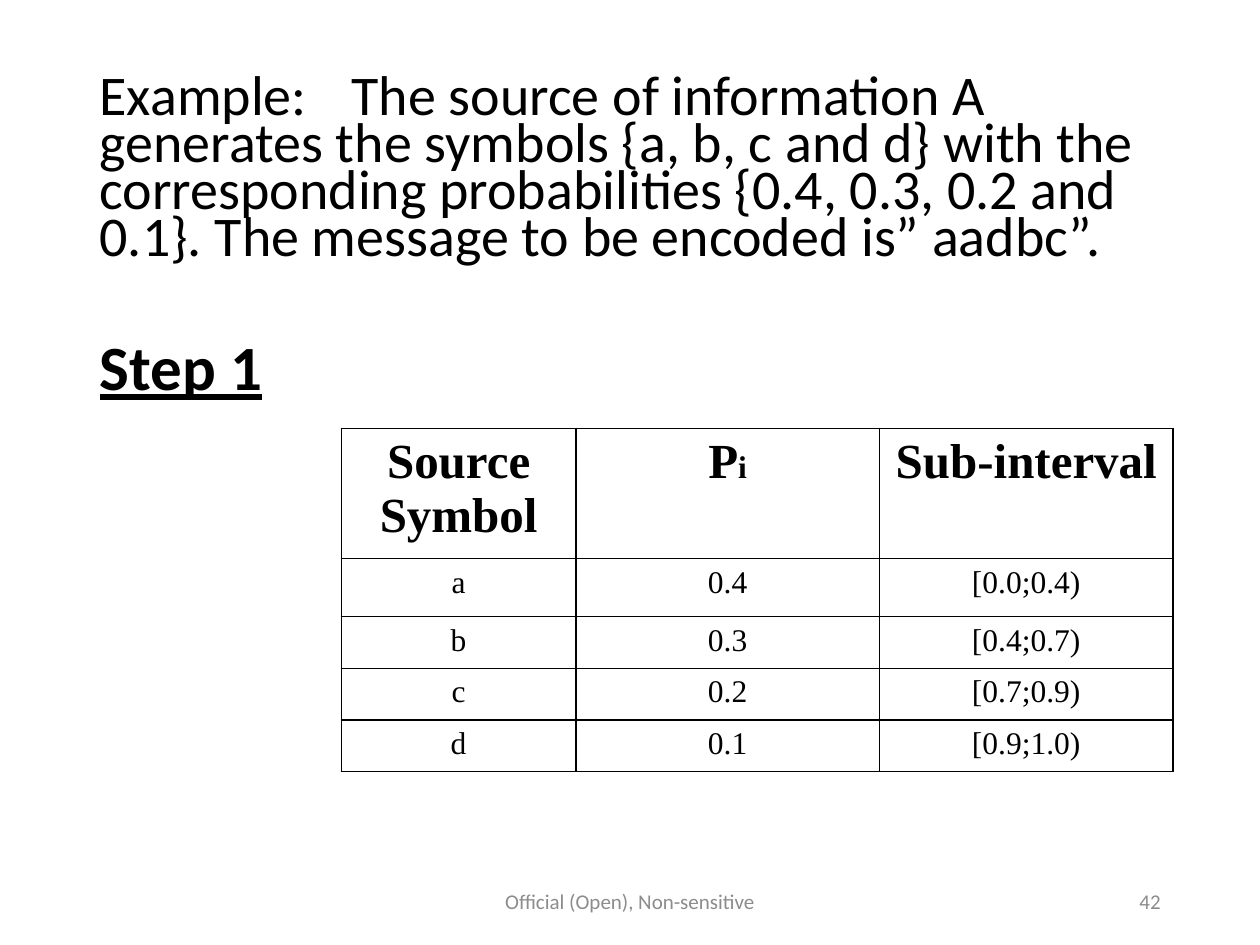
from dataclasses import dataclass

from lxml import etree
from pptx import Presentation
from pptx.dml.color import RGBColor
from pptx.enum.text import MSO_ANCHOR, PP_ALIGN
from pptx.oxml.ns import qn
from pptx.util import Inches, Pt

CENTER, RIGHT, LEFT = PP_ALIGN.CENTER, PP_ALIGN.RIGHT, PP_ALIGN.LEFT
MIDDLE, TOP = MSO_ANCHOR.MIDDLE, MSO_ANCHOR.TOP


@dataclass(frozen=True)
class Theme:
    ink: str = "000000"
    paper: str = "FFFFFF"
    muted: str = "8C8C8C"
    sans: str = "Calibri"
    serif: str = "Times New Roman"
    body: int = 32
    step: int = 36
    header: int = 28
    cell: int = 18
    footer: int = 12
    border: int = 1


@dataclass(frozen=True)
class Box:
    left: float
    top: float
    width: float
    height: float

    def lengths(self) -> list:
        return [Inches(value) for value in (self.left, self.top, self.width, self.height)]


@dataclass(frozen=True)
class Footer:
    text: str
    box: Box
    alignment: PP_ALIGN


@dataclass(frozen=True)
class Symbol:
    name: str
    probability: str
    interval: str


THEME = Theme()
WIDTH, HEIGHT = 10, 7.5
MARGIN = 0.69
BODY_BOX = Box(MARGIN, 0.57, WIDTH - 2 * MARGIN, 2.71)
TABLE_BOX = Box(2.71, 3.4, 6.6, 2.65)
COLUMNS = (1.86, 2.41, 2.33)
ROWS = (0.96, 0.46, 0.41, 0.41, 0.41)
TAB_STOP = 2.04
EXAMPLE = (
    "Example:\tThe source of information A generates the symbols {a, b, c and d} "
    "with the corresponding probabilities {0.4, 0.3, 0.2 and 0.1}. "
    "The message to be encoded is” aadbc”."
)
HEADERS = (("Source Symbol",), ("P", "i"), ("Sub-interval",))
SYMBOLS = (
    Symbol("a", "0.4", "[0.0;0.4)"),
    Symbol("b", "0.3", "[0.4;0.7)"),
    Symbol("c", "0.2", "[0.7;0.9)"),
    Symbol("d", "0.1", "[0.9;1.0)"),
)
FOOTERS = (
    Footer("Official (Open), Non-sensitive", Box(3.31, 6.95, 3.38, 0.4), CENTER),
    Footer("42", Box(7.06, 6.95, 2.25, 0.4), RIGHT),
)


def set_values(target, values: dict) -> None:
    for name, value in values.items():
        setattr(target, name, value)


def add_run(paragraph, text: str, size: int, face: str, color: str = THEME.ink, **style) -> None:
    run = paragraph.add_run()
    run.text = text
    set_values(run.font, {"name": face, "size": Pt(size), **style})
    run.font.color.rgb = RGBColor.from_string(color)


def prepare_body_paragraph(paragraph, space_before: int) -> None:
    set_values(
        paragraph,
        {"alignment": LEFT, "line_spacing": 0.7, "space_before": Pt(space_before)},
    )
    properties = paragraph._p.get_or_add_pPr()
    properties.set("marL", "0")
    properties.set("indent", "0")
    etree.SubElement(properties, qn("a:buNone"))
    tabs = etree.SubElement(properties, qn("a:tabLst"))
    etree.SubElement(tabs, qn("a:tab"), pos=str(Inches(TAB_STOP)), algn="l")


def fill_body(shape) -> None:
    shape.left, shape.top, shape.width, shape.height = BODY_BOX.lengths()
    frame = shape.text_frame
    set_values(frame, {"word_wrap": True, "vertical_anchor": TOP})
    example = frame.paragraphs[0]
    prepare_body_paragraph(example, 0)
    add_run(example, EXAMPLE, THEME.body, THEME.sans)
    step = frame.add_paragraph()
    prepare_body_paragraph(step, 47)
    add_run(step, "Step 1", THEME.step, THEME.sans, bold=True, underline=True)


def add_footer(slide, footer: Footer) -> None:
    frame = slide.shapes.add_textbox(*footer.box.lengths()).text_frame
    set_values(frame, {"word_wrap": True, "vertical_anchor": MIDDLE})
    paragraph = frame.paragraphs[0]
    paragraph.alignment = footer.alignment
    add_run(paragraph, footer.text, THEME.footer, THEME.sans, THEME.muted)


def add_borders(cell) -> None:
    properties = cell._tc.get_or_add_tcPr()
    for position, side in enumerate(("lnL", "lnR", "lnT", "lnB")):
        line = etree.Element(qn(f"a:{side}"), w=str(Pt(THEME.border)))
        fill = etree.SubElement(line, qn("a:solidFill"))
        etree.SubElement(fill, qn("a:srgbClr"), val=THEME.ink)
        properties.insert(position, line)


def fill_cell(cell, texts: tuple, sizes: tuple, bold: bool) -> None:
    cell.fill.solid()
    cell.fill.fore_color.rgb = RGBColor.from_string(THEME.paper)
    add_borders(cell)
    paragraph = cell.text_frame.paragraphs[0]
    paragraph.alignment = CENTER
    for text, size in zip(texts, sizes):
        add_run(paragraph, text, size, THEME.serif, bold=bold)


def add_symbol_table(slide) -> None:
    table = slide.shapes.add_table(len(ROWS), len(COLUMNS), *TABLE_BOX.lengths()).table
    for column, width in zip(table.columns, COLUMNS):
        column.width = Inches(width)
    for row, height in zip(table.rows, ROWS):
        row.height = Inches(height)
    for index, texts in enumerate(HEADERS):
        fill_cell(table.cell(0, index), texts, (THEME.header, THEME.cell), True)
    for row, symbol in enumerate(SYMBOLS, start=1):
        values = (symbol.name, symbol.probability, symbol.interval)
        for column, value in enumerate(values):
            fill_cell(table.cell(row, column), (value,), (THEME.cell,), False)


def main() -> None:
    presentation = Presentation()
    presentation.slide_width = Inches(WIDTH)
    presentation.slide_height = Inches(HEIGHT)
    slide = presentation.slides.add_slide(presentation.slide_layouts[1])
    title = slide.shapes.title._element
    title.getparent().remove(title)
    fill_body(slide.placeholders[1])
    for footer in FOOTERS:
        add_footer(slide, footer)
    add_symbol_table(slide)
    presentation.save("out.pptx")


if __name__ == "__main__":
    main()
